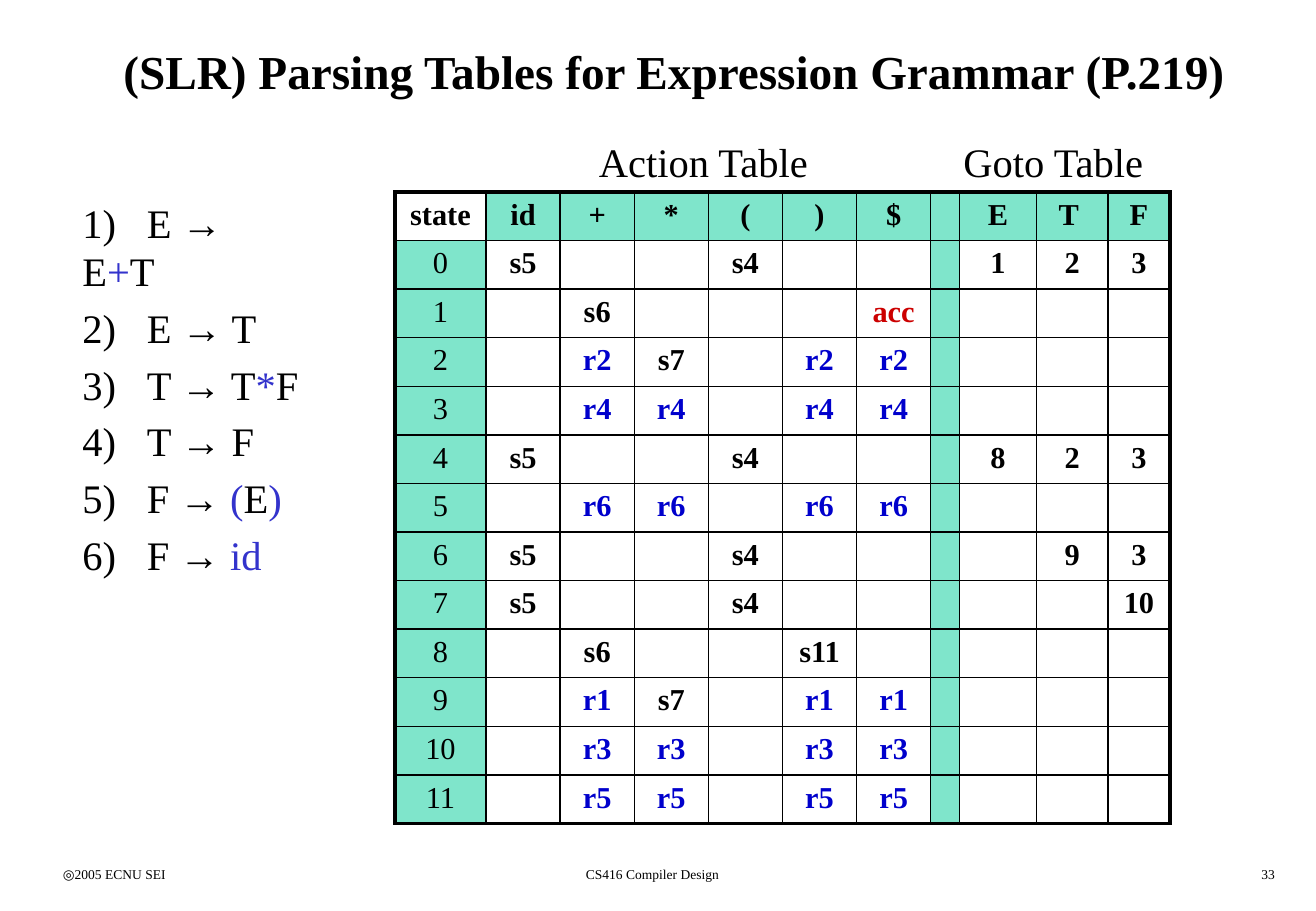
from dataclasses import dataclass

from lxml.etree import SubElement
from pptx import Presentation
from pptx.dml.color import RGBColor
from pptx.enum.text import MSO_ANCHOR, MSO_AUTO_SIZE, PP_ALIGN
from pptx.oxml.ns import qn
from pptx.util import Pt

PX = 9144


@dataclass(frozen=True)
class Theme:
    font: str = "Times New Roman"
    ink: str = "000000"
    terminal: str = "3333CC"
    reduce: str = "0000CC"
    accept: str = "CC0000"
    band: str = "00CC99"
    band_alpha: int = 50
    title_size: int = 28
    body_size: int = 24
    cell_size: int = 18
    footer_size: int = 8
    thin: float = 1
    thick: float = 2.25


THEME = Theme()

RULES = ["E → E|+|T", "E → T", "T → T|*|F", "T → F", "F → |(|E|)", "F → |id"]

COLUMN_WIDTHS = [75] + [61] * 6 + [23, 63, 59, 51]
ROW_HEIGHT = 40
SEPARATOR = 7
PARSING_TABLE = [
    ["state", "id", "+", "*", "(", ")", "$", "", "E", "T ", "F"],
    ["0", "s5", "", "", "s4", "", "", "", "1", "2", "3"],
    ["1", "", "s6", "", "", "", "acc", "", "", "", ""],
    ["2", "", "r2", "s7", "", "r2", "r2", "", "", "", ""],
    ["3", "", "r4", "r4", "", "r4", "r4", "", "", "", ""],
    ["4", "s5", "", "", "s4", "", "", "", "8", "2", "3"],
    ["5", "", "r6", "r6", "", "r6", "r6", "", "", "", ""],
    ["6", "s5", "", "", "s4", "", "", "", "", "9", "3"],
    ["7", "s5", "", "", "s4", "", "", "", "", "", "10"],
    ["8", "", "s6", "", "", "s11", "", "", "", "", ""],
    ["9", "", "r1", "s7", "", "r1", "r1", "", "", "", ""],
    ["10", "", "r3", "r3", "", "r3", "r3", "", "", "", ""],
    ["11", "", "r5", "r5", "", "r5", "r5", "", "", "", ""],
]


def scaled(box):
    return [length * PX for length in box]


def set_attributes(target, values):
    for name, value in values.items():
        setattr(target, name, value)


def add_run(paragraph, text, size, color=THEME.ink, bold=False):
    run = paragraph.add_run()
    run.text = text
    set_attributes(run.font, {"name": THEME.font, "size": Pt(size), "bold": bold})
    run.font.color.rgb = RGBColor.from_string(color)


def add_text(slide, box, text, size, align=PP_ALIGN.LEFT, wrap=True):
    frame = slide.shapes.add_textbox(*scaled(box)).text_frame
    frame.word_wrap = wrap
    paragraph = frame.paragraphs[0]
    paragraph.alignment = align
    add_run(paragraph, text, size)


def add_title(slide, box, text):
    title = slide.shapes.title
    set_attributes(title, dict(zip(("left", "top", "width", "height"), scaled(box))))
    set_attributes(title.text_frame, {
        "vertical_anchor": MSO_ANCHOR.MIDDLE,
        "auto_size": MSO_AUTO_SIZE.NONE,
        "word_wrap": True,
    })
    paragraph = title.text_frame.paragraphs[0]
    paragraph.alignment = PP_ALIGN.CENTER
    add_run(paragraph, text, THEME.title_size, bold=True)


def add_grammar(slide, box):
    frame = slide.shapes.add_textbox(*scaled(box)).text_frame
    frame.word_wrap = True
    for number, rule in enumerate(RULES, 1):
        paragraph = frame.paragraphs[0] if number == 1 else frame.add_paragraph()
        tabs = SubElement(paragraph._p.get_or_add_pPr(), qn("a:tabLst"))
        SubElement(tabs, qn("a:tab"), pos=str(53 * PX), algn="l")
        if number > 1:
            paragraph.space_before = Pt(THEME.body_size * 0.2)
        add_run(paragraph, f"{number})\t", THEME.body_size)
        for index, part in enumerate(rule.split("|")):
            color = THEME.terminal if index % 2 else THEME.ink
            add_run(paragraph, part, THEME.body_size, color)


def add_borders(cell, widths):
    properties = cell._tc.get_or_add_tcPr()
    for side, width in widths.items():
        line = SubElement(properties, qn(f"a:ln{side}"), w=str(Pt(width)))
        fill = SubElement(line, qn("a:solidFill"))
        SubElement(fill, qn("a:srgbClr"), val=THEME.ink)


def fill_cell(cell, banded):
    if not banded:
        cell.fill.background()
        return
    cell.fill.solid()
    cell.fill.fore_color.rgb = RGBColor.from_string(THEME.band)
    color = cell._tc.tcPr.find(qn("a:solidFill"))[0]
    SubElement(color, qn("a:alpha"), val=str(THEME.band_alpha * 1000))


def entry_color(text):
    if text == "acc":
        return THEME.accept
    return THEME.reduce if text.startswith("r") else THEME.ink


def add_parsing_table(slide, left, top):
    rows, columns = len(PARSING_TABLE), len(COLUMN_WIDTHS)
    box = (left, top, sum(COLUMN_WIDTHS), rows * ROW_HEIGHT)
    table = slide.shapes.add_table(rows, columns, *scaled(box)).table
    set_attributes(table, {"first_row": False, "horz_banding": False})
    for column, width in zip(table.columns, COLUMN_WIDTHS):
        column.width = width * PX
    for row_index, entries in enumerate(PARSING_TABLE):
        table.rows[row_index].height = ROW_HEIGHT * PX
        for column_index, text in enumerate(entries):
            cell = table.cell(row_index, column_index)
            outer = {
                "L": column_index == 0,
                "R": column_index == columns - 1,
                "T": row_index == 0,
                "B": row_index == rows - 1,
            }
            add_borders(cell, {side: THEME.thick if edge else THEME.thin
                               for side, edge in outer.items()})
            fill_cell(cell, column_index == SEPARATOR or outer["L"] != outer["T"])
            if text:
                paragraph = cell.text_frame.paragraphs[0]
                paragraph.alignment = PP_ALIGN.CENTER
                bold = outer["T"] or not outer["L"]
                add_run(paragraph, text, THEME.cell_size, entry_color(text), bold)
            else:
                set_attributes(cell, {"margin_top": 0, "margin_bottom": 0})


def add_footer(slide, top, height):
    for left, width, text, align in (
        (42, 226, "◎2005 ECNU SEI", PP_ALIGN.LEFT),
        (334, 406, "CS416 Compiler Design", PP_ALIGN.CENTER),
        (833, 226, "33", PP_ALIGN.RIGHT),
    ):
        add_text(slide, (left, top, width, height), text, THEME.footer_size, align)


def main():
    presentation = Presentation()
    set_attributes(presentation, {"slide_width": 1083 * PX, "slide_height": 750 * PX})
    slide = presentation.slides.add_slide(presentation.slide_layouts[5])
    add_title(slide, (42, 17, 1025, 83),
              "(SLR) Parsing Tables for Expression Grammar (P.219)")
    add_parsing_table(slide, 325, 158)
    for left, width, text in ((483, 195, "Action Table"), (783, 171, "Goto Table")):
        add_text(slide, (left, 108, width, 50), text, THEME.body_size, wrap=False)
    add_grammar(slide, (58, 158, 199, 290))
    add_footer(slide, 708, 25)
    presentation.save("out.pptx")


if __name__ == "__main__":
    main()
